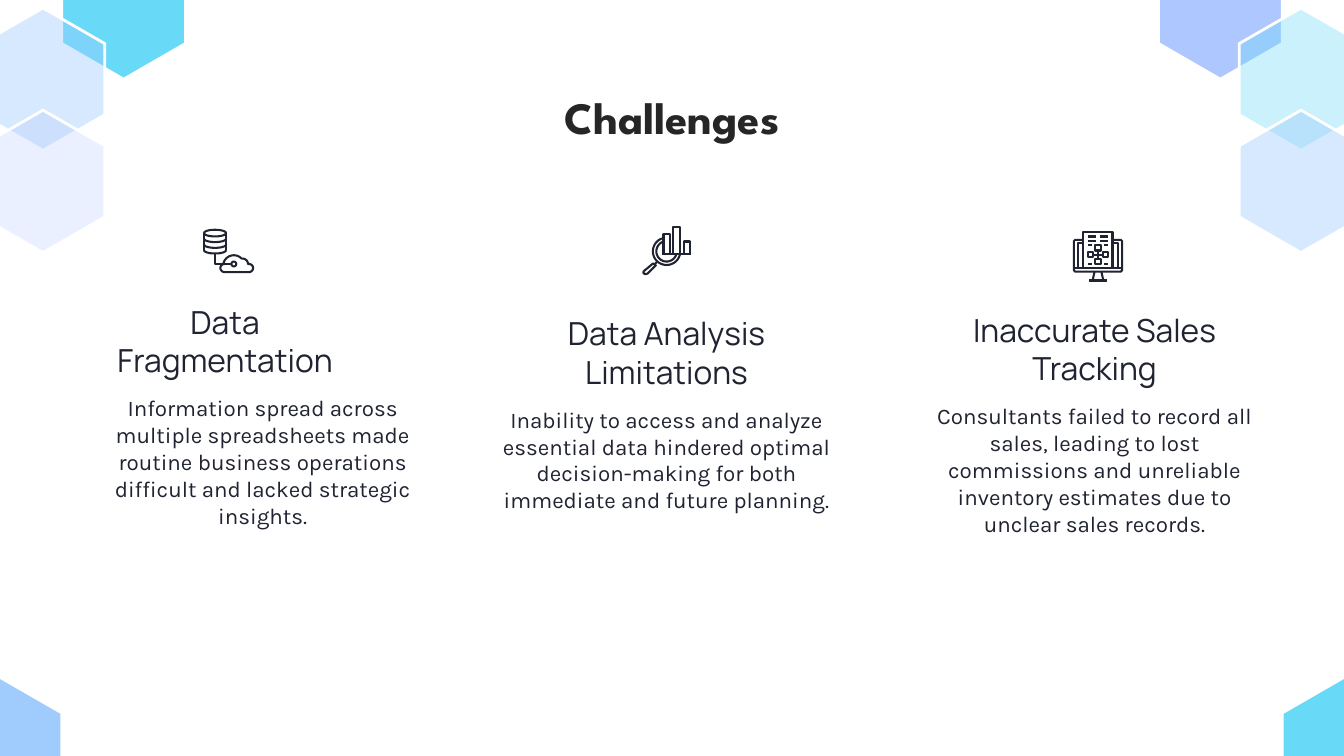
from math import cos, radians, sin

from lxml.etree import SubElement
from pptx import Presentation
from pptx.dml.color import RGBColor as Rgb
from pptx.enum.shapes import MSO_SHAPE as Shape
from pptx.enum.text import MSO_ANCHOR as Anchor, MSO_AUTO_SIZE as AutoSize, PP_ALIGN as Align
from pptx.oxml.ns import qn
from pptx.util import Inches, Pt

COLORS = {
    "cyan": "68DAF8",
    "blue": "9FCBFD",
    "lilac": "AFC7FF",
    "white": "FFFFFF",
    "title": "262626",
    "ink": "202331",
}
CELL = 0.1
ICON_CELL = 0.01
HEX_WIDTH, HEX_HEIGHT = 9.2, 10.6
TILE = 6.2


def arc(x, y, rx, ry, start, end, steps=24):
    angles = [radians(start + (end - start) * i / steps) for i in range(steps + 1)]
    return [(x + rx * cos(a), y + ry * sin(a)) for a in angles]


def box(left, top, right, bottom):
    return [(left, top), (right, top), (right, bottom), (left, bottom), (left, top)]


def database_icon():
    x, rx, ry = 20, 8.2, 2.5
    levels = [17.5, 21.7, 26, 30.2]
    strokes = [arc(x, levels[0], rx, ry, 0, 360)]
    strokes += [arc(x, y, rx, ry, 0, 180) for y in levels[1:]]
    strokes += [[(side, levels[0]), (side, levels[-1])] for side in (x - rx, x + rx)]
    strokes += [[(x, 32.7), (x, 40.5), (32, 40.5)], arc(34, 40.5, 1.8, 1.8, 0, 360)]
    cloud = arc(27, 43.5, 3, 3, 90, 270) + arc(34, 42, 8, 8, 195, 315)
    cloud += arc(40.5, 40.5, 4, 4, 270, 360) + arc(45.3, 43.5, 3, 3, -90, 90)
    return strokes + [cloud + cloud[:1]]


def analysis_icon():
    base = 33
    bars = [(28.7, 18, 33.7), (35.7, 13, 40.7), (43.7, 23.7, 48.2)]
    strokes = [box(left, top, right, base) for left, top, right in bars]
    strokes += [arc(31, 31, r, r, 15, 250) for r in (7.6, 10.2)]
    handle = [(21, 40), (23, 41.5), (16.8, 47.6), (14.8, 48), (13.6, 46.8), (14, 45.8), (21, 40)]
    return strokes + [[(27.7, base), (49, base)], handle, [(22, 40.7), (24, 38.8)]]


def monitor_icon():
    strokes = [
        [(20, 19.5), (14, 19.5), (13, 20.5), (13, 42), (14, 43.2),
         (48, 43.2), (49, 42), (49, 20.5), (48, 19.5), (42, 19.5)],
        [(13, 40.7), (49, 40.7)],
        box(20.2, 13.6, 41.8, 40.7),
        [(20, 22), (16.2, 22), (16.2, 40.7)],
        [(42, 22), (45.8, 22), (45.8, 40.7)],
        [(28.5, 43), (27, 49.7)],
        [(33.5, 43), (35, 49.7)],
        [(24.5, 49.7), (37.5, 49.7)],
        [(31, 27.5), (31, 33.8)],
        [(27.5, 30.6), (34.5, 30.6)],
    ]
    nodes = [(31, 25.4), (25.5, 30.6), (36.5, 30.6), (31, 35.8)]
    strokes += [box(x - 2, y - 2, x + 2, y + 2) for x, y in nodes]
    for y, length in [(17, 5.5), (20.3, 5.5), (23.4, 2.6), (37.8, 2.6)]:
        strokes += [[(23.7, y), (23.7 + length, y)], [(38.3 - length, y), (38.3, y)]]
    return strokes


def write(frame, text, font, size, color, bold=False, anchor=Anchor.TOP):
    frame.word_wrap = True
    frame.auto_size = AutoSize.NONE
    frame.vertical_anchor = anchor
    frame.margin_left = frame.margin_right = Inches(0.1)
    frame.margin_top = frame.margin_bottom = Inches(0.1)
    para = frame.paragraphs[0]
    para.alignment = Align.CENTER
    span = para.add_run()
    span.text = text
    span.font.name = font
    span.font.size = Pt(size)
    span.font.bold = bold
    span.font.color.rgb = Rgb.from_string(COLORS[color])


class SlideBuilder:
    def __init__(self, deck):
        self.page = deck.slides.add_slide(deck.slide_layouts[5])
        self.shapes = self.page.shapes

    def grid(self, *cells):
        return [Inches(cell * CELL) for cell in cells]

    def title(self, text, *place):
        holder = self.shapes.title
        holder.left, holder.top, holder.width, holder.height = self.grid(*place)
        write(holder.text_frame, text, "League Spartan", 24, "title", bold=True)

    def text(self, text, place, **style):
        frame = self.shapes.add_textbox(*self.grid(*place)).text_frame
        write(frame, text, color="ink", **style)

    def outline(self, contours, fill=None, line="ink", width=1.1):
        first, *others = contours
        builder = self.shapes.build_freeform(*first[0])
        builder.add_line_segments(first[1:], close=False)
        for contour in others:
            builder.move_to(*contour[0])
            builder.add_line_segments(contour[1:], close=False)
        shape = builder.convert_to_shape()
        shape.shadow.inherit = False
        if fill:
            shape.fill.solid()
            shape.fill.fore_color.rgb = Rgb.from_string(COLORS[fill])
        else:
            shape.fill.background()
        shape.line.color.rgb = Rgb.from_string(COLORS[line])
        shape.line.width = Pt(width)
        return shape

    def hexagon(self, left, top, color, opacity=100):
        middle, right = left + HEX_WIDTH / 2, left + HEX_WIDTH
        upper, lower = top + HEX_HEIGHT / 4, top + HEX_HEIGHT * 3 / 4
        corners = [(middle, top), (left, upper), (left, lower),
                   (middle, top + HEX_HEIGHT), (right, lower), (right, upper), (middle, top)]
        shape = self.outline([[self.grid(*corner) for corner in corners]], color, "white", 1.5)
        if opacity < 100:
            tint = shape._element.spPr.find(qn("a:solidFill")).find(qn("a:srgbClr"))
            SubElement(tint, qn("a:alpha")).set("val", str(opacity * 1000))

    def icon(self, strokes, left, top):
        tile = self.shapes.add_shape(Shape.RECTANGLE, *self.grid(left, top, TILE, TILE))
        tile.shadow.inherit = False
        tile.fill.solid()
        tile.fill.fore_color.rgb = Rgb.from_string(COLORS["white"])
        tile.line.fill.background()
        x0, y0 = self.grid(left, top)
        self.outline([[(x0 + Inches(x * ICON_CELL), y0 + Inches(y * ICON_CELL))
                       for x, y in stroke] for stroke in strokes])

    def challenge(self, heading, body, left, top, heading_width, icon, icon_place):
        self.icon(icon, *icon_place)
        self.text(body, (left, top + 5.25, 27.7, 17.7), font="Karla", size=12)
        self.text(heading, (left, top, heading_width, 6.1), font="Manrope", size=17,
                  anchor=Anchor.BOTTOM)


HEXAGONS = [
    (4.6, -4.7, "cyan"),
    (86.2, -4.7, "lilac"),
    (92.2, 0.6, "cyan", 34),
    (92.2, 8.2, "blue", 41),
    (-1.4, 0.6, "blue", 41),
    (-1.4, 8.2, "lilac", 25),
    (-4.6, 50.4, "blue"),
    (95.4, 50.4, "cyan"),
]

CHALLENGES = [
    ("Data Fragmentation",
     "Information spread across multiple spreadsheets made routine business operations "
     "difficult and lacked strategic insights.",
     5.7, 23.1, 22.1, database_icon(), (14, 15.6)),
    ("Data Analysis Limitations",
     "Inability to access and analyze essential data hindered optimal decision-making "
     "for both immediate and future planning.",
     35.75, 23.95, 27.7, analysis_icon(), (46.5, 15.6)),
    ("Inaccurate Sales Tracking",
     "Consultants failed to record all sales, leading to lost commissions and unreliable "
     "inventory estimates due to unclear sales records.",
     67.6, 23.7, 27.7, monitor_icon(), (78.6, 15.9)),
]


def main():
    deck = Presentation()
    deck.slide_width = Inches(10)
    deck.slide_height = deck.slide_width * 9 // 16
    builder = SlideBuilder(deck)
    for hexagon in HEXAGONS:
        builder.hexagon(*hexagon)
    builder.title("Challenges", 7.85, 5.7, 84.3, 6.3)
    for challenge in CHALLENGES:
        builder.challenge(*challenge)
    deck.save("out.pptx")


if __name__ == "__main__":
    main()
